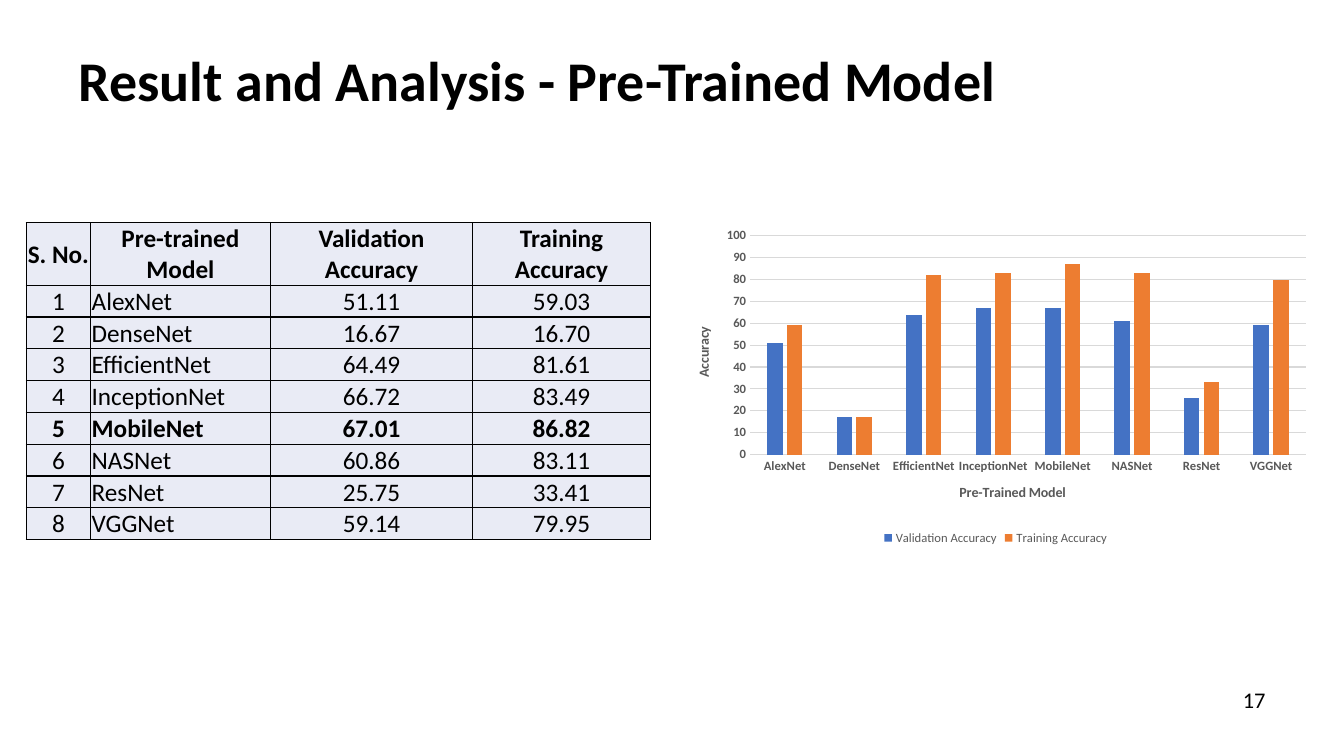
import pptx
import pptx.chart.data
import pptx.dml.color
import pptx.enum.chart
import pptx.enum.text
import pptx.oxml
import pptx.oxml.ns
import pptx.util
from dataclasses import dataclass

Inches = pptx.util.Inches
Pt = pptx.util.Pt
RGB = pptx.dml.color.RGBColor.from_string
qn = pptx.oxml.ns.qn
PP_ALIGN = pptx.enum.text.PP_ALIGN
MIDDLE = pptx.enum.text.MSO_ANCHOR.MIDDLE


@dataclass(frozen=True)
class Theme:
    font: str = "Calibri"
    ink: str = "000000"
    cell: str = "E9EBF5"
    grey: str = "595959"
    grid: str = "D9D9D9"
    validation: str = "4472C4"
    training: str = "ED7D31"
    title_size: int = 40
    table_size: int = 18
    number_size: int = 16
    axis_title_size: int = 10
    chart_size: int = 9


THEME = Theme()


def style_font(font, size, colour, bold=False):
    font.name = THEME.font
    font.size = Pt(size)
    font.bold = bold
    font.color.rgb = RGB(colour)


def place(chart_part, x, y, size=None):
    """Fix a chart part's position, and its inner size if given, as fractions of the chart."""
    values = [("xMode", "edge"), ("yMode", "edge"), ("x", x), ("y", y)]
    if size:
        values = [("layoutTarget", "inner")] + values + [("w", size[0]), ("h", size[1])]
    for old in chart_part.findall(qn("c:layout")):
        chart_part.remove(old)
    entries = "".join(f'<c:{tag} val="{value}"/>' for tag, value in values)
    layout = pptx.oxml.parse_xml(
        f'<c:layout {pptx.oxml.ns.nsdecls("c")}><c:manualLayout>{entries}</c:manualLayout></c:layout>')
    chart_part.insert(0 if chart_part.find(qn("c:tx")) is None else 1, layout)


headers = ["S. No.", "Pre-trained Model", "Validation Accuracy", "Training Accuracy"]
results = [
    ("AlexNet", 51.11, 59.03),
    ("DenseNet", 16.67, 16.70),
    ("EfficientNet", 64.49, 81.61),
    ("InceptionNet", 66.72, 83.49),
    ("MobileNet", 67.01, 86.82),
    ("NASNet", 60.86, 83.11),
    ("ResNet", 25.75, 33.41),
    ("VGGNet", 59.14, 79.95),
]
best_model = max(results, key=lambda result: result[1])[0]

deck = pptx.Presentation()
deck.slide_width, deck.slide_height = Inches(13.33), Inches(7.5)
slide = deck.slides.add_slide(deck.slide_layouts[5])

# Title
title = slide.shapes.title
title.left, title.top, title.width, title.height = map(Inches, (0.68, 0.4, 12.65, 0.77))
title.text_frame.vertical_anchor = MIDDLE
heading = title.text_frame.paragraphs[0]
heading.alignment = PP_ALIGN.LEFT
heading_run = heading.add_run()
heading_run.text = "Result and Analysis - Pre-Trained Model"
style_font(heading_run.font, THEME.title_size, THEME.ink, True)

# Accuracy table
rows = [headers] + [
    [str(number), model, f"{validation:.2f}", f"{training:.2f}"]
    for number, (model, validation, training) in enumerate(results, 1)
]
accuracy_table = slide.shapes.add_table(
    len(rows), len(headers), Inches(0.26), Inches(2.21), Inches(6.19), Inches(3.08)).table
for column, width in zip(accuracy_table.columns, (0.64, 1.78, 2.01, 1.76)):
    column.width = Inches(width)
for r, row in enumerate(rows):
    accuracy_table.rows[r].height = Inches(0.28)
    for c, text in enumerate(row):
        cell = accuracy_table.cell(r, c)
        cell.fill.solid()
        cell.fill.fore_color.rgb = RGB(THEME.cell)
        cell.vertical_anchor = MIDDLE
        cell.margin_left = cell.margin_right = cell.margin_top = Inches(0.01)
        cell.margin_bottom = 0
        paragraph = cell.text_frame.paragraphs[0]
        paragraph.alignment = PP_ALIGN.LEFT if r and c == 1 else PP_ALIGN.CENTER
        run = paragraph.add_run()
        run.text = text
        style_font(run.font, THEME.table_size, THEME.ink, r == 0 or row[1] == best_model)
        for position, side in enumerate("LRTB"):
            cell._tc.get_or_add_tcPr().insert(position, pptx.oxml.parse_xml(
                f'<a:ln{side} {pptx.oxml.ns.nsdecls("a")} w="{Pt(1)}"><a:solidFill>'
                f'<a:srgbClr val="{THEME.ink}"/></a:solidFill></a:ln{side}>'))

# Accuracy chart
chart_data = pptx.chart.data.CategoryChartData()
chart_data.categories = [result[0] for result in results]
for index in (1, 2):
    chart_data.add_series(headers[index + 1], [round(result[index]) for result in results])
chart = slide.shapes.add_chart(
    pptx.enum.chart.XL_CHART_TYPE.COLUMN_CLUSTERED,
    Inches(6.67), Inches(2.21), Inches(6.41), Inches(3.24), chart_data).chart
style_font(chart.font, THEME.axis_title_size, THEME.ink)
chart.has_title = False
chart.has_legend = True
chart.legend.position = pptx.enum.chart.XL_LEGEND_POSITION.BOTTOM
chart.legend.include_in_layout = False
style_font(chart.legend.font, THEME.chart_size, THEME.grey)

columns = chart.plots[0]
columns.gap_width, columns.overlap = 219, -27
columns.vary_by_categories = False
for series, colour in zip(columns.series, (THEME.validation, THEME.training)):
    series.format.fill.solid()
    series.format.fill.fore_color.rgb = RGB(colour)

model_axis, accuracy_axis = chart.category_axis, chart.value_axis
for axis, caption, x, y in ((model_axis, "Pre-Trained Model", 0.44, 0.79),
                            (accuracy_axis, "Accuracy", 0.03, 0.31)):
    axis.major_tick_mark = axis.minor_tick_mark = pptx.enum.chart.XL_TICK_MARK.NONE
    style_font(axis.tick_labels.font, THEME.chart_size, THEME.grey, True)
    caption_frame = axis.axis_title.text_frame
    caption_run = caption_frame.paragraphs[0].add_run()
    caption_run.text = caption
    style_font(caption_run.font, THEME.axis_title_size, THEME.grey, True)
    if axis is accuracy_axis:
        caption_frame._txBody.bodyPr.set("rot", "-5400000")
        caption_frame._txBody.bodyPr.set("vert", "horz")
    place(axis.axis_title._element, x, y)
accuracy_axis.minimum_scale, accuracy_axis.maximum_scale = 0, 100
accuracy_axis.major_unit = 10
accuracy_axis.tick_labels.number_format = "0"
accuracy_axis.tick_labels.number_format_is_linked = False
accuracy_axis.format.line.fill.background()
for line in (model_axis.format.line, accuracy_axis.major_gridlines.format.line):
    line.color.rgb = RGB(THEME.grid)
    line.width = Pt(0.75)
place(chart._chartSpace.chart.plotArea, 0.12, 0.04, (0.86, 0.67))

# Slide number
page = slide.shapes.add_textbox(Inches(9.65), Inches(6.74), Inches(3), Inches(0.4)).text_frame
page.word_wrap = True
page.vertical_anchor = MIDDLE
page.paragraphs[0].alignment = PP_ALIGN.RIGHT
page_run = page.paragraphs[0].add_run()
page_run.text = "17"
style_font(page_run.font, THEME.number_size, THEME.ink)

deck.save("out.pptx")
